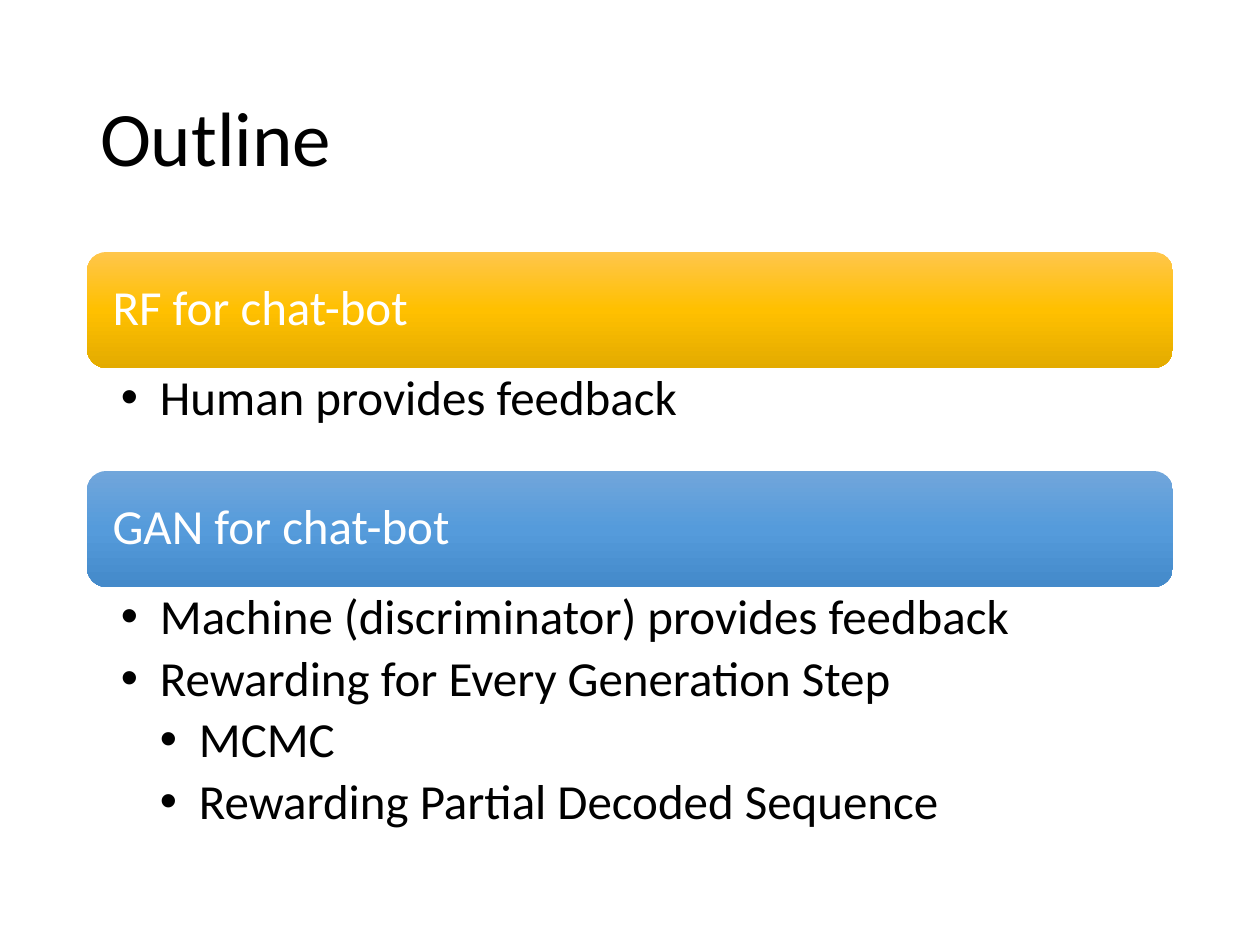
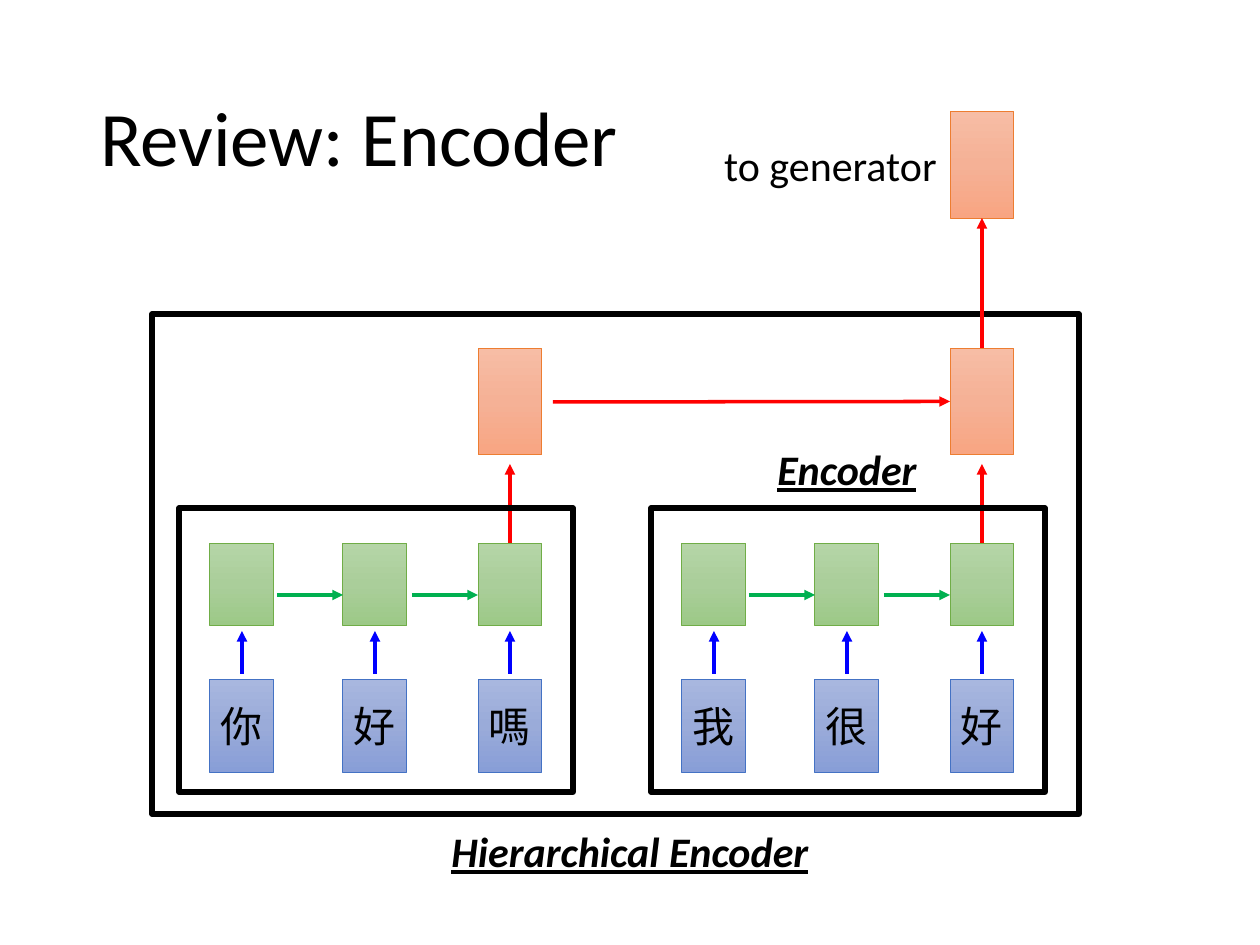
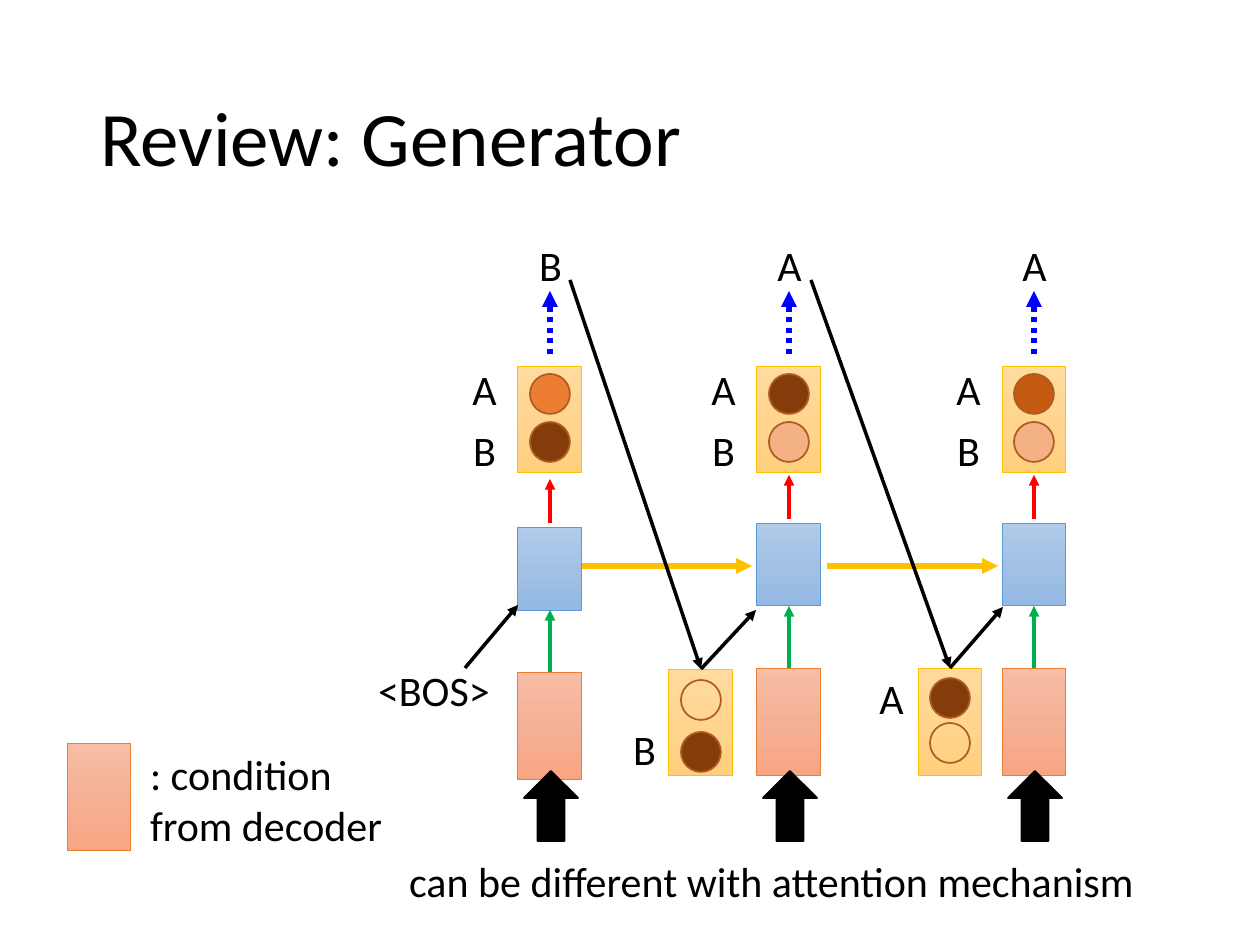
"""Build three slides that review a chat-bot's encoder and generator."""
import copy

import pptx
import pptx.dml.color
import pptx.enum.dml
import pptx.enum.shapes
import pptx.enum.text
import pptx.oxml.ns
import pptx.oxml.xmlchemy
import pptx.util
from lxml import etree

PX = 914400 / 126
FONT = "Calibri"
SHAPES = pptx.enum.shapes.MSO_SHAPE
ALIGN = pptx.enum.text.PP_ALIGN
ANCHOR = pptx.enum.text.MSO_ANCHOR
TOP, LEFT, BOTTOM = 0, 1, 2
BOX_W, VECTOR_H, CELL_H, WORD_H = 64, 107, 83, 93
TEXT_H = 63

COLOURS = {
    "black": "000000", "white": "FFFFFF", "red": "FF0000", "blue": "0000FF",
    "green": "00B050", "gold": "FFC000", "ring": "AF5C24",
    "darkest": "843C0B", "dark": "C55A11", "medium": "ED7D31", "light": "F4B183",
    "vector edge": "ED7D31", "cell edge": "70AD47", "word edge": "4472C4",
    "state edge": "5B9BD5", "score edge": "FFC000",
}
GRADIENTS = {
    "gold bar": ("FFC64B", "FFC000", "E3AB00"),
    "blue bar": ("71A6DB", "559BDB", "448ACA"),
    "vector": ("F7BDA5", "F5B196", "F8A582"),
    "cell": ("B5D5A7", "AACE9A", "9CC987"),
    "word": ("A8B7DF", "9AABD9", "889ED7"),
    "state": ("B1CBE9", "A3C1E5", "93B9E4"),
    "score": ("FFDB9E", "FFD590", "FFD07C"),
}


def px(length):
    """Turn pixels into EMU."""
    return pptx.util.Emu(round(length * PX))


def rgb(name):
    """Look up a named colour."""
    return pptx.dml.color.RGBColor.from_string(COLOURS[name])


def write(shape, text, size=24, colour="black", align=ALIGN.CENTER, anchor=ANCHOR.TOP,
          emphasis=False, spacing=1.0, after=0, insets=(13, 6, 13, 6), wrap=True):
    """Fill a shape with formatted text, one paragraph per line."""
    frame = shape.text_frame
    frame.auto_size = pptx.enum.text.MSO_AUTO_SIZE.NONE
    frame.word_wrap = wrap
    frame.vertical_anchor = anchor
    frame.margin_left, frame.margin_top, frame.margin_right, frame.margin_bottom = map(px, insets)
    frame.text = text
    for paragraph in frame.paragraphs:
        paragraph.alignment = align
        paragraph.line_spacing = spacing
        paragraph.space_before = pptx.util.Pt(0)
        paragraph.space_after = pptx.util.Pt(after)
        for run in paragraph.runs:
            run.font.name = FONT
            run.font.size = pptx.util.Pt(size)
            run.font.color.rgb = rgb(colour)
            run.font.bold = run.font.italic = run.font.underline = emphasis


def place(shape, at):
    """Move and size a placeholder."""
    shape.left, shape.top, shape.width, shape.height = map(px, at)


def add_slide(deck, layout, title):
    """Add a slide with the shared title style."""
    slide = deck.slides.add_slide(deck.slide_layouts[layout])
    place(slide.shapes.title, (87, 50, 1086, 183))
    write(slide.shapes.title, title, size=44, align=ALIGN.LEFT, anchor=ANCHOR.MIDDLE, spacing=0.9)
    return slide


def add_label(slide, text, at, **style):
    """Add a text box."""
    label = slide.shapes.add_textbox(*map(px, at))
    write(label, text, **style)


def add_block(slide, at, kind=SHAPES.RECTANGLE, gradient=None, fill=None, edge=None, weight=0.5):
    """Add a preset shape with a gradient, plain or empty fill."""
    block = slide.shapes.add_shape(kind, *map(px, at))
    block.shadow.inherit = False
    if gradient:
        block.fill.gradient()
        block.fill.gradient_angle = 270
        stops = block._element.spPr.find(".//" + pptx.oxml.ns.qn("a:gsLst"))
        stops.insert(1, copy.deepcopy(stops[0]))
        for stop, position, tone in zip(block.fill.gradient_stops, (0, 0.5, 1), GRADIENTS[gradient]):
            stop.position = position
            stop.color.rgb = pptx.dml.color.RGBColor.from_string(tone)
    elif fill:
        block.fill.solid()
        block.fill.fore_color.rgb = rgb(fill)
    else:
        block.fill.background()
    if edge:
        block.line.color.rgb = rgb(edge)
        block.line.width = pptx.util.Pt(weight)
    else:
        block.line.fill.background()
    return block


def add_unit(slide, role, x, y, height):
    """Add one network unit in the colours of its role."""
    return add_block(slide, (x, y, BOX_W, height), gradient=role, edge=role + " edge")


def add_arrow(slide, start, end, colour, weight=2, dotted=False, start_on=None, end_on=None):
    """Add an arrow, joined to a (shape, side) pair where one is given."""
    arrow = slide.shapes.add_connector(
        pptx.enum.shapes.MSO_CONNECTOR.STRAIGHT, *map(px, start + end))
    if start_on:
        arrow.begin_connect(*start_on)
    if end_on:
        arrow.end_connect(*end_on)
    arrow.line.color.rgb = rgb(colour)
    arrow.line.width = pptx.util.Pt(weight)
    if dotted:
        arrow.line.dash_style = pptx.enum.dml.MSO_LINE.ROUND_DOT
    etree.SubElement(arrow.line._get_or_add_ln(), pptx.oxml.ns.qn("a:tailEnd"), type="triangle")
    etree.SubElement(arrow._element.spPr, pptx.oxml.ns.qn("a:effectLst"))


def add_section(slide, body, y, gradient, heading, points, height):
    """Add a heading bar and the bulleted list below it."""
    bar = add_block(slide, (87, y, 1086, 116), SHAPES.ROUNDED_RECTANGLE, gradient)
    write(bar, heading, size=28, colour="white", align=ALIGN.LEFT, anchor=ANCHOR.MIDDLE,
          spacing=0.9, insets=(20, 20, 20, 20))
    place(body, (87, y + 116, 1086, height))
    write(body, "\n".join(text for text, _ in points), size=28, align=ALIGN.LEFT,
          spacing=0.9, after=5, insets=(34, 5, 28, 5))
    for paragraph, (_, level) in zip(body.text_frame.paragraphs, points):
        paragraph.level = level
        properties = paragraph._p.get_or_add_pPr()
        properties.set("marL", str(px(39 * level)))
        properties.set("indent", str(px(-39)))
        etree.SubElement(properties, pptx.oxml.ns.qn("a:buChar"), char="•")


def add_sentence(slide, x, words):
    """Add a sentence encoder and return its sentence vector."""
    for column, word in zip((31, 164, 299), words):
        left = x + column
        cell = add_unit(slide, "cell", left, 543, CELL_H)
        token = add_unit(slide, "word", left, 679, WORD_H)
        write(token, word, anchor=ANCHOR.MIDDLE, insets=(0, 0, 0, 0), wrap=False)
        add_arrow(slide, (left + 32, 674), (left + 32, 631), "blue")
        if column > 31:
            add_arrow(slide, (left - 66, 595), (left, 595), "green")
    vector = add_unit(slide, "vector", left, 348, VECTOR_H)
    add_arrow(slide, (left + 32, 543), (left + 32, 464), "red", start_on=(cell, TOP))
    add_block(slide, (x, 508, 394, 284), edge="black", weight=3)
    return vector


def add_scores(slide, x, y, circles):
    """Add a score box with (dx, dy, fill) circles."""
    box = add_unit(slide, "score", x, y, VECTOR_H)
    for dx, dy, fill in circles:
        add_block(slide, (x + dx, y + dy, 40, 40), SHAPES.OVAL, fill=fill, edge="ring", weight=1)
    return box


def add_step(slide, x, drop, output, circles):
    """Add one generation step, its lower half moved down by drop."""
    middle = x + 32
    state = add_unit(slide, "state", x, 523 + drop, CELL_H)
    condition = add_unit(slide, "vector", x, 668 + drop, VECTOR_H)
    add_arrow(slide, (middle, 668), (middle, 606), "green",
              start_on=(condition, TOP), end_on=(state, BOTTOM))
    add_arrow(slide, (middle, 519 + drop), (middle, 475 + drop), "red")
    add_scores(slide, x, 366, circles)
    for candidate, y in (("A", 358), ("B", 419)):
        add_label(slide, candidate, (x - 67, y, 67, TEXT_H))
    add_arrow(slide, (middle, 354), (middle, 291), "blue", weight=3, dotted=True)
    add_label(slide, output, (x - 21, 234, 107, TEXT_H))
    add_block(slide, (x + 6, 771, 54, 70), SHAPES.UP_ARROW, fill="black", edge="black", weight=1)


def add_feedback(slide, x, y, word, label_at, word_end, state_end, circles):
    """Feed an output word back into the next step."""
    token = add_scores(slide, x, y, circles)
    add_label(slide, word, label_at + (55, TEXT_H))
    add_arrow(slide, word_end, (x + 32, y), "black", end_on=(token, TOP))
    add_arrow(slide, (x + 32, y), state_end, "black", start_on=(token, TOP))


def build_outline(deck):
    """Build the outline slide."""
    slide = add_slide(deck, 3, "Outline")
    add_section(slide, slide.placeholders[1], 252, "gold bar", "RF for chat-bot",
                [("Human provides feedback", 1)], 102)
    add_section(slide, slide.placeholders[2], 471, "blue bar", "GAN for chat-bot",
                [("Machine (discriminator) provides feedback", 1),
                 ("Rewarding for Every Generation Step", 1),
                 ("MCMC", 2),
                 ("Rewarding Partial Decoded Sequence", 2)], 263)


def build_encoder(deck):
    """Build the hierarchical encoder slide."""
    slide = add_slide(deck, 5, "Review: Encoder")
    add_sentence(slide, 179, "你好嗎")
    context = add_sentence(slide, 651, "我很好")
    add_block(slide, (152, 314, 927, 500), edge="black", weight=3)
    result = add_unit(slide, "vector", 950, 111, VECTOR_H)
    add_arrow(slide, (553, 402), (950, 402), "red", end_on=(context, LEFT))
    add_arrow(slide, (982, 348), (982, 218), "red", start_on=(context, TOP), end_on=(result, BOTTOM))
    add_label(slide, "to generator", (697, 134, 267, TEXT_H))
    add_label(slide, "Encoder", (706, 438, 282, TEXT_H), emphasis=True)
    add_label(slide, "Hierarchical Encoder", (347, 820, 566, TEXT_H), emphasis=True)


def build_generator(deck):
    """Build the generator slide."""
    slide = add_slide(deck, 5, "Review: Generator")
    steps = [(518, 4, "B", "medium", "darkest"),
             (757, 0, "A", "darkest", "light"),
             (1002, 0, "A", "dark", "light")]
    for x, drop, output, upper, lower in steps:
        add_step(slide, x, drop, output, [(12, 8, upper), (12, 56, lower)])
    for start, end in ((582, 752), (827, 998)):
        add_arrow(slide, (start, 566), (end, 566), "gold", weight=3)
    add_feedback(slide, 669, 669, "B", (617, 718), (570, 280), (756, 610),
                 [(12, 11, None), (12, 63, "darkest")])
    add_feedback(slide, 918, 668, "A", (864, 667), (811, 280), (1003, 607),
                 [(12, 10, "darkest"), (12, 55, None)])
    add_label(slide, "<BOS>", (358, 659, 152, TEXT_H))
    add_arrow(slide, (465, 668), (518, 605), "black")
    add_label(slide, "can be different with attention mechanism", (370, 850, 803, TEXT_H))
    add_unit(slide, "vector", 67, 743, VECTOR_H)
    add_label(slide, ": condition from decoder", (137, 743, 260, 115), align=ALIGN.LEFT)


def main():
    """Build and save the deck."""
    deck = pptx.Presentation()
    deck.slide_width, deck.slide_height = px(1260), px(945)
    build_outline(deck)
    build_encoder(deck)
    build_generator(deck)
    deck.save("out.pptx")


if __name__ == "__main__":
    main()
